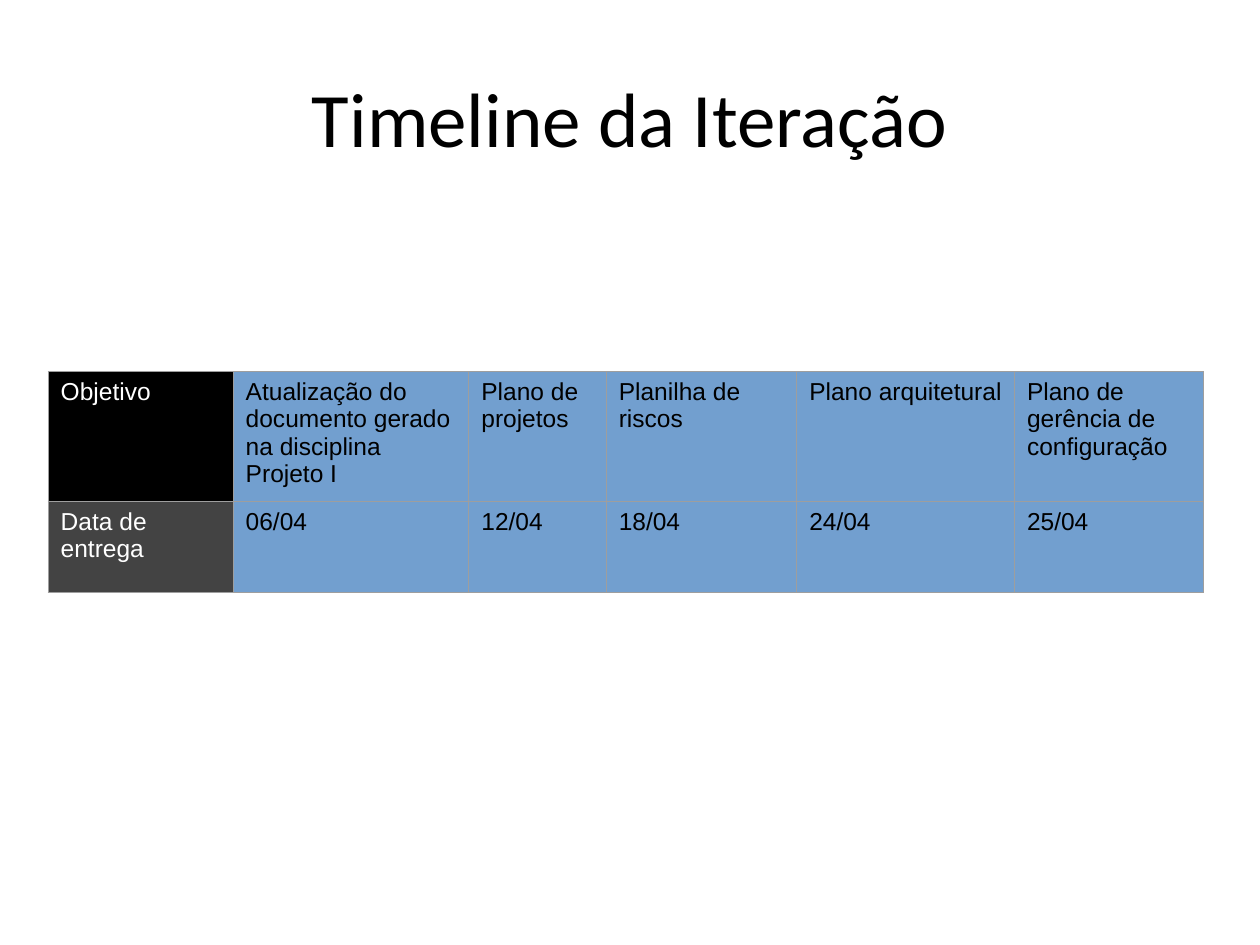
from lxml import etree
from pptx import Presentation
from pptx import util as u
from pptx.dml.color import RGBColor
from pptx.enum import text
from pptx.oxml.ns import qn

COLOURS = {
    "ink": "000000",
    "light": "FFFFFF",
    "objective": "000000",
    "delivery": "434343",
    "entry": "729FCF",
    "border": "9E9E9E",
}
MILESTONES = [
    ("Atualização do documento gerado na disciplina Projeto I", "06/04"),
    ("Plano de projetos", "12/04"),
    ("Planilha de riscos", "18/04"),
    ("Plano arquitetural", "24/04"),
    ("Plano de gerência de configuração", "25/04"),
]
COLUMN_WIDTHS = [3.73, 4.75, 2.77, 3.84, 4.39, 3.81]
ROW_HEIGHTS = [2.51, 1.83]


def colour(name):
    return RGBColor.from_string(COLOURS[name])


def style_font(para, family, size, ink):
    para.font.name = family
    para.font.size = u.Pt(size)
    para.font.color.rgb = colour(ink)


def add_borders(cell):
    properties = cell._tc.get_or_add_tcPr()
    for position, side in enumerate(("lnL", "lnR", "lnT", "lnB")):
        line = etree.Element(qn(f"a:{side}"), w=str(u.Pt(0.75)))
        fill = etree.SubElement(line, qn("a:solidFill"))
        etree.SubElement(fill, qn("a:srgbClr"), val=COLOURS["border"])
        properties.insert(position, line)  # borders precede the fill


def add_title(page, left, top, width, height):
    box = page.shapes.add_textbox(*map(u.Cm, (left, top, width, height)))
    frame = box.text_frame
    frame.word_wrap = True
    frame.vertical_anchor = text.MSO_ANCHOR.MIDDLE
    para = frame.paragraphs[0]
    para.text = "Timeline da Iteração"
    para.alignment = text.PP_ALIGN.CENTER
    style_font(para, "Calibri", 44, "ink")


def add_timeline(page, left, top):
    objectives, dates = zip(*MILESTONES)
    rows = [("Objetivo", *objectives), ("Data de entrega", *dates)]
    size = (sum(COLUMN_WIDTHS), sum(ROW_HEIGHTS))
    table = page.shapes.add_table(
        len(rows), len(COLUMN_WIDTHS), *map(u.Cm, (left, top, *size))
    ).table
    for column, width in zip(table.columns, COLUMN_WIDTHS):
        column.width = u.Cm(width)
    for row, height in zip(table.rows, ROW_HEIGHTS):
        row.height = u.Cm(height)

    # The first column holds the row labels
    for row, words, label_fill in zip(table.rows, rows, ("objective", "delivery")):
        for index, (cell, wording) in enumerate(zip(row.cells, words)):
            is_label = index == 0
            cell.text = wording
            cell.fill.solid()
            cell.fill.fore_color.rgb = colour(label_fill if is_label else "entry")
            para = cell.text_frame.paragraphs[0]
            para.font.bold = False
            style_font(para, "Arial", 14, "light" if is_label else "ink")
            add_borders(cell)


def main():
    deck = Presentation()
    deck.slide_width, deck.slide_height = u.Cm(25.4), u.Cm(19.05)
    page = deck.slides.add_slide(deck.slide_layouts[6])
    add_title(page, 1.27, 0.76, 22.86, 3.18)
    add_timeline(page, 0.97, 7.49)
    deck.save("out.pptx")


if __name__ == "__main__":
    main()
